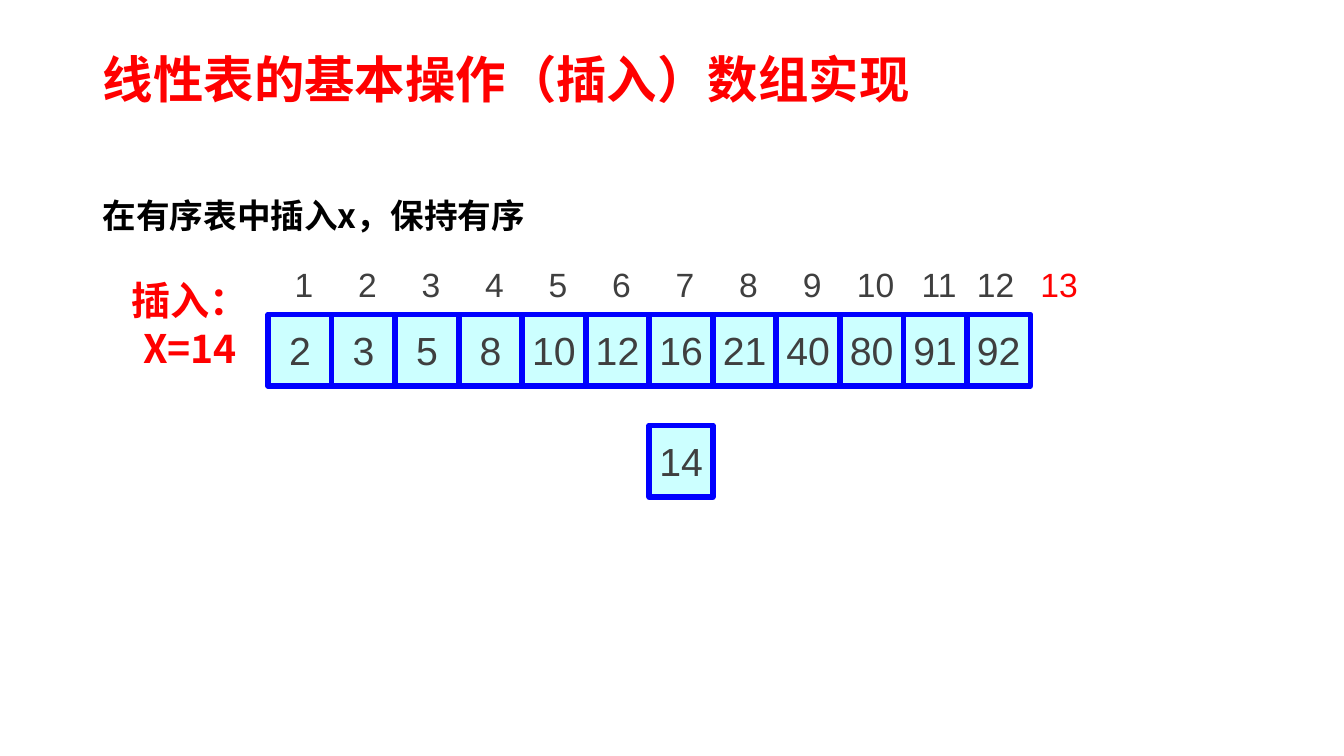
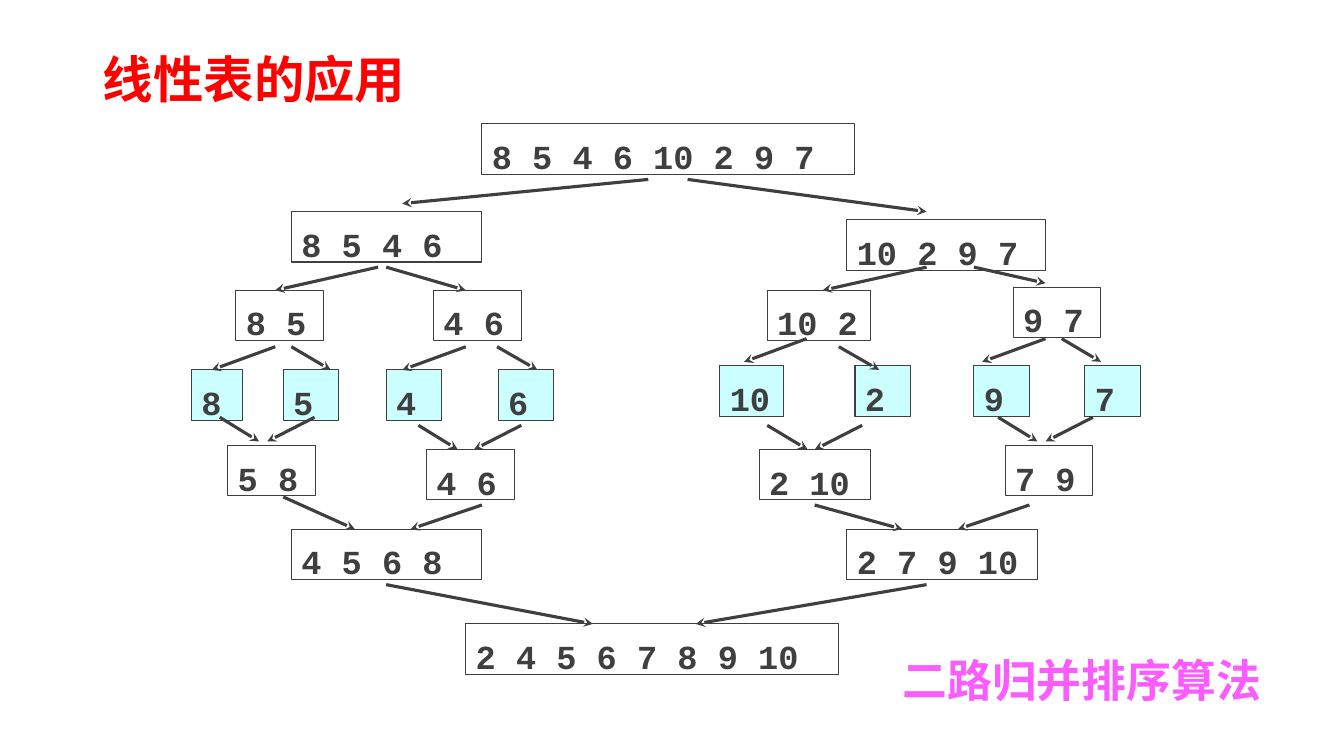
"""Build two slides on linear lists: ordered insertion and two-way merge sort."""
from dataclasses import dataclass
from typing import NamedTuple

from lxml import etree
from pptx import Presentation
from pptx.dml.color import RGBColor
from pptx.enum.shapes import MSO_CONNECTOR, MSO_SHAPE
from pptx.enum.text import MSO_ANCHOR, MSO_AUTO_SIZE, PP_ALIGN
from pptx.oxml.ns import qn
from pptx.util import Emu, Pt

RECTANGLE = MSO_SHAPE.RECTANGLE
STRAIGHT = MSO_CONNECTOR.STRAIGHT
LEFT, CENTER = PP_ALIGN.LEFT, PP_ALIGN.CENTER
TOP, MIDDLE, BOTTOM = MSO_ANCHOR.TOP, MSO_ANCHOR.MIDDLE, MSO_ANCHOR.BOTTOM
NO_AUTOFIT = MSO_AUTO_SIZE.NONE

EMU_PER_PX = 9144
SLIDE_WIDTH, SLIDE_HEIGHT = 1333, 750
TITLE_ONLY_LAYOUT = 5

WHITE = RGBColor(0xFF, 0xFF, 0xFF)
BLACK = RGBColor(0x00, 0x00, 0x00)
RED = RGBColor(0xFF, 0x00, 0x00)
BLUE = RGBColor(0x00, 0x00, 0xFF)
PALE_CYAN = RGBColor(0xCC, 0xFF, 0xFF)
DARK_GRAY = RGBColor(0x3F, 0x3F, 0x3F)
PINK = RGBColor(0xFB, 0x5C, 0xFD)

HAN_FONT = "Noto Sans CJK SC"
NUMBER_FONT = "Arial"
LIST_FONT = "Courier New"


class Box(NamedTuple):
    """A rectangle in px."""
    left: int
    top: int
    width: int
    height: int


class ListBox(NamedTuple):
    """A list of keys in the merge sort diagram."""
    text: str
    left: int
    top: int
    width: int


class Arrow(NamedTuple):
    """An arrow from one point to another, in px."""
    begin_x: int
    begin_y: int
    end_x: int
    end_y: int


@dataclass(frozen=True)
class TextStyle:
    """The look of a piece of text."""
    font: str
    size: int
    color: RGBColor
    bold: bool = False
    alignment: PP_ALIGN = LEFT
    anchor: MSO_ANCHOR = TOP
    wrap: bool = True
    line_spacing: float | Pt | None = None


TITLE_STYLE = TextStyle(HAN_FONT, 36, RED, True, anchor=MIDDLE, line_spacing=0.9)
STATEMENT_STYLE = TextStyle(HAN_FONT, 24, BLACK, True, anchor=MIDDLE)
INSERT_STYLE = TextStyle(HAN_FONT, 28, RED, True, CENTER, wrap=False, line_spacing=Pt(34))
CELL_STYLE = TextStyle(NUMBER_FONT, 28, DARK_GRAY, False, CENTER, MIDDLE, False)
INDEX_STYLE = TextStyle(NUMBER_FONT, 24, DARK_GRAY, False, CENTER, wrap=False)
NEW_INDEX_STYLE = TextStyle(NUMBER_FONT, 24, RED, False, CENTER, wrap=False)
LIST_STYLE = TextStyle(LIST_FONT, 24, DARK_GRAY, True)
CAPTION_STYLE = TextStyle(HAN_FONT, 32, PINK, True, anchor=BOTTOM, line_spacing=0.9)

TITLE_BOX = Box(92, 40, 1150, 84)
STATEMENT_BOX = Box(92, 188, 1150, 50)
INSERT_BOX = Box(120, 269, 137, 103)
CAPTION_BOX = Box(895, 639, 409, 63)

CELL_VALUES = (2, 3, 5, 8, 10, 12, 16, 21, 40, 80, 91, 92)
NEW_VALUE, NEW_POSITION = 14, 6
CELL_LEFT, CELL_TOP, NEW_CELL_TOP = 266, 312, 422
CELL_WIDTH, CELL_HEIGHT = 63, 71
INDEX_LEFT, INDEX_TOP, INDEX_HEIGHT = 270, 257, 50
LAST_INDEXES_START, LAST_INDEXES_SHIFT = 12, 7

LIST_HEIGHT = 50
LIST_BOXES = (
    ListBox("8 5 4 6 10 2 9 7", 478, 123, 370),
    ListBox("8 5 4 6", 289, 210, 189),
    ListBox("10 2 9 7", 840, 218, 197),
    ListBox("8 5", 234, 288, 87),
    ListBox("4 6", 430, 288, 87),
    ListBox("10 2", 761, 288, 102),
    ListBox("9 7", 1005, 285, 87),
    ListBox("8", 190, 367, 51),
    ListBox("5", 281, 367, 55),
    ListBox("4", 383, 367, 55),
    ListBox("6", 494, 367, 55),
    ListBox("10", 714, 363, 63),
    ListBox("2", 848, 363, 55),
    ListBox("9", 966, 363, 55),
    ListBox("7", 1076, 363, 55),
    ListBox("5 8", 226, 442, 87),
    ListBox("4 6", 423, 446, 87),
    ListBox("2 10", 753, 446, 110),
    ListBox("7 9", 997, 442, 87),
    ListBox("4 5 6 8", 289, 525, 189),
    ListBox("2 7 9 10", 840, 525, 189),
    ListBox("2 4 5 6 7 8 9 10", 462, 619, 370),
)

SPLIT_ARROWS = (
    Arrow(643, 178, 399, 202), Arrow(682, 178, 919, 210),
    Arrow(375, 265, 273, 288), Arrow(383, 265, 462, 288),
    Arrow(919, 265, 816, 288), Arrow(966, 265, 1037, 281),
    Arrow(273, 344, 210, 367), Arrow(289, 344, 328, 367),
    Arrow(462, 344, 399, 367), Arrow(493, 344, 533, 367),
    Arrow(800, 336, 738, 359), Arrow(832, 344, 872, 367),
    Arrow(1037, 336, 974, 359), Arrow(1053, 336, 1092, 359),
)
MERGE_ARROWS = (
    Arrow(218, 414, 257, 438), Arrow(312, 414, 265, 438),
    Arrow(415, 422, 454, 446), Arrow(517, 422, 470, 446),
    Arrow(761, 422, 801, 446), Arrow(855, 422, 808, 446),
    Arrow(990, 414, 1029, 438), Arrow(1084, 414, 1037, 438),
    Arrow(281, 493, 352, 525), Arrow(478, 501, 407, 525),
    Arrow(808, 501, 895, 525), Arrow(1021, 501, 950, 525),
    Arrow(383, 580, 588, 619), Arrow(919, 580, 690, 619),
)


def px(length: int) -> Emu:
    """Turn px into EMU."""
    return Emu(length * EMU_PER_PX)


def place(box: Box) -> tuple[Emu, ...]:
    """Turn a box into EMU lengths."""
    return tuple(px(length) for length in box)


def write_text(shape, lines: tuple[str, ...], style: TextStyle) -> None:
    """Write one paragraph per line in the given style."""
    text_frame = shape.text_frame
    text_frame.auto_size = NO_AUTOFIT
    text_frame.word_wrap = style.wrap
    text_frame.vertical_anchor = style.anchor
    for number, line in enumerate(lines):
        paragraph = text_frame.add_paragraph() if number else text_frame.paragraphs[0]
        paragraph.alignment = style.alignment
        if style.line_spacing is not None:
            paragraph.line_spacing = style.line_spacing
        run = paragraph.add_run()
        run.text = line
        run.font.size = Pt(style.size)
        run.font.bold = style.bold
        run.font.color.rgb = style.color
        run.font.name = style.font
        east_asian = etree.SubElement(run._r.get_or_add_rPr(), qn("a:ea"))
        east_asian.set("typeface", style.font)


def add_text(slide, box: Box, lines: tuple[str, ...], style: TextStyle):
    """Add a text box."""
    shape = slide.shapes.add_textbox(*place(box))
    write_text(shape, lines, style)
    return shape


def add_rectangle(slide, box: Box, text: str, style: TextStyle,
                  fill: RGBColor | None, line: RGBColor, line_width: float):
    """Add an outlined rectangle holding text."""
    shape = slide.shapes.add_shape(RECTANGLE, *place(box))
    shape.shadow.inherit = False
    if fill is None:
        shape.fill.background()
    else:
        shape.fill.solid()
        shape.fill.fore_color.rgb = fill
    shape.line.color.rgb = line
    shape.line.width = Pt(line_width)
    write_text(shape, (text,), style)
    return shape


def add_cell(slide, position: int, top: int, value: int) -> None:
    """Add an array cell at a position counted from zero."""
    box = Box(CELL_LEFT + position * CELL_WIDTH, top, CELL_WIDTH, CELL_HEIGHT)
    add_rectangle(slide, box, str(value), CELL_STYLE, PALE_CYAN, BLUE, 4)


def add_index(slide, index: int) -> None:
    """Add an index above its cell; the one past the array is red."""
    shift = LAST_INDEXES_SHIFT if index >= LAST_INDEXES_START else 0
    left = INDEX_LEFT + (index - 1) * CELL_WIDTH - shift
    style = NEW_INDEX_STYLE if index > len(CELL_VALUES) else INDEX_STYLE
    add_text(slide, Box(left, INDEX_TOP, CELL_WIDTH, INDEX_HEIGHT), (str(index),), style)


def add_list_box(slide, item: ListBox) -> None:
    """Add a list of keys; single keys are shaded."""
    box = Box(item.left, item.top, item.width, LIST_HEIGHT)
    fill = None if " " in item.text else PALE_CYAN
    shape = add_rectangle(slide, box, item.text, LIST_STYLE, fill, DARK_GRAY, 0.75)
    shape.text_frame.margin_top = px(12)
    shape.text_frame.margin_bottom = 0


def add_arrow(slide, arrow: Arrow) -> None:
    """Add a straight arrow with a stealth head."""
    connector = slide.shapes.add_connector(STRAIGHT, *(px(length) for length in arrow))
    connector.line.color.rgb = DARK_GRAY
    connector.line.width = Pt(2.25)
    properties = connector._element.spPr
    head = etree.SubElement(properties.find(qn("a:ln")), qn("a:tailEnd"))
    head.set("type", "stealth")
    etree.SubElement(properties, qn("a:effectLst"))


def add_titled_slide(presentation, title: str):
    """Add a white slide with the shared title style."""
    slide = presentation.slides.add_slide(presentation.slide_layouts[TITLE_ONLY_LAYOUT])
    slide.background.fill.solid()
    slide.background.fill.fore_color.rgb = WHITE
    shape = slide.shapes.title
    shape.left, shape.top, shape.width, shape.height = place(TITLE_BOX)
    write_text(shape, (title,), TITLE_STYLE)
    return slide


def build_insertion_slide(presentation) -> None:
    """Show a value about to be inserted into an ordered array."""
    slide = add_titled_slide(presentation, "线性表的基本操作（插入）数组实现")
    add_text(slide, STATEMENT_BOX, ("在有序表中插入x，保持有序",), STATEMENT_STYLE)
    for position, value in enumerate(CELL_VALUES):
        add_cell(slide, position, CELL_TOP, value)
    add_cell(slide, NEW_POSITION, NEW_CELL_TOP, NEW_VALUE)
    add_text(slide, INSERT_BOX, ("插入：", f"X={NEW_VALUE}"), INSERT_STYLE)
    for index in range(1, len(CELL_VALUES) + 2):
        add_index(slide, index)


def build_merge_sort_slide(presentation) -> None:
    """Show a list being split and merged back in order."""
    slide = add_titled_slide(presentation, "线性表的应用")
    for item in LIST_BOXES:
        add_list_box(slide, item)
    for arrow in SPLIT_ARROWS + MERGE_ARROWS:
        add_arrow(slide, arrow)
    caption = add_text(slide, CAPTION_BOX, ("二路归并排序算法",), CAPTION_STYLE)
    caption.text_frame.margin_left = caption.text_frame.margin_right = 0
    caption.text_frame.margin_bottom = 0


def main() -> None:
    """Build and save the presentation."""
    presentation = Presentation()
    presentation.slide_width = px(SLIDE_WIDTH)
    presentation.slide_height = px(SLIDE_HEIGHT)
    build_insertion_slide(presentation)
    build_merge_sort_slide(presentation)
    presentation.save("out.pptx")


if __name__ == "__main__":
    main()
